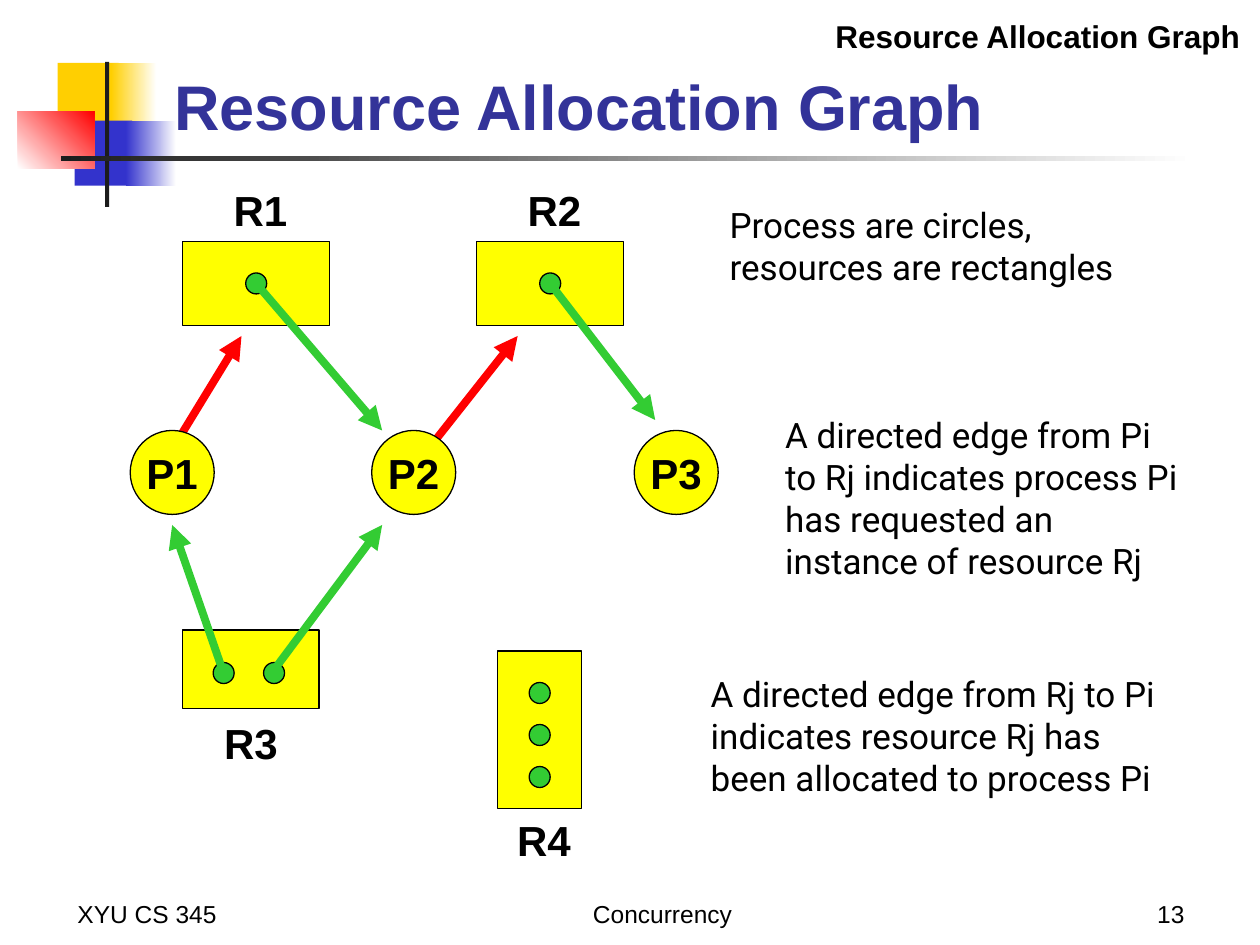
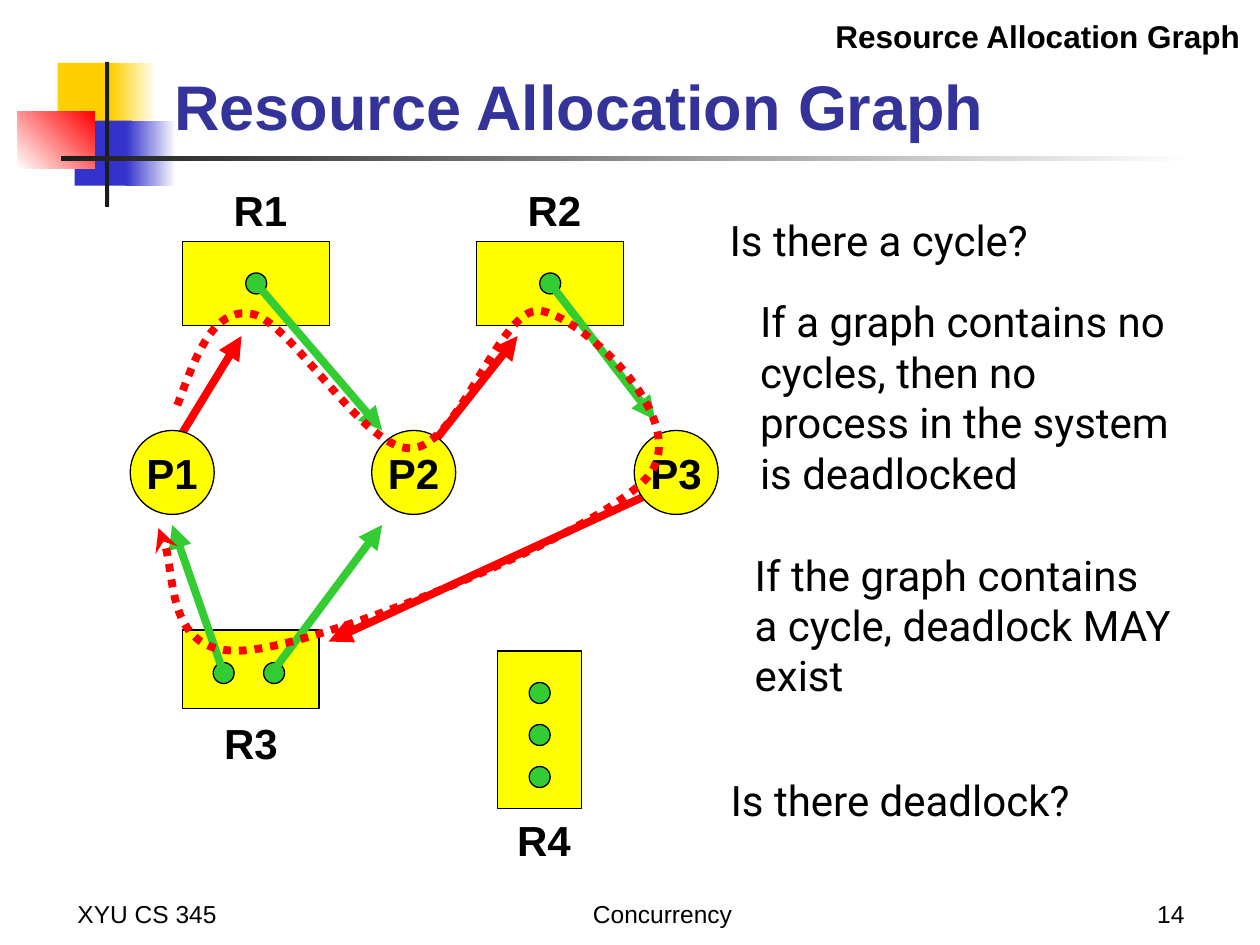
from dataclasses import dataclass

from lxml import etree
from pptx import Presentation
from pptx import util as u
from pptx.dml.color import RGBColor
from pptx.enum import shapes as kinds, text as t
from pptx.oxml.ns import qn

COLUMNS, ROWS = 120, 90
CELL = u.Inches(10) // COLUMNS


@dataclass(frozen=True)
class Theme:
    ink: str = "000000"
    paper: str = "FFFFFF"
    title: str = "333399"
    rule: str = "1C1C1C"
    gold: str = "FFCF01"
    blue: str = "3333CC"
    red: str = "FF0000"
    node: str = "FFFF00"
    instance: str = "33CC33"
    heading_font: str = "Arial"
    note_font: str = "Roboto"
    title_size: int = 36
    label_size: int = 24
    note_size: int = 20
    header_size: int = 18
    footer_size: int = 14
    outline: float = 0.75
    edge: float = 4.5


THEME = Theme()


@dataclass(frozen=True)
class Box:
    left: float
    top: float
    width: float
    height: float

    def area(self, col, row, width, height):
        return Box(self.left + col, self.top + row, width, height)

    def around(self, col, row, size):
        return self.area(col - size / 2, row - size / 2, size, size)

    def point(self, col, row):
        return round((self.left + col) * CELL), round((self.top + row) * CELL)

    def emu(self):
        return [round(n * CELL) for n in (self.left, self.top, self.width, self.height)]


PAGE = Box(0, 0, COLUMNS, ROWS)
BAND = PAGE.area(1.7, 5.9, 112.1, 13.8)
TITLE = PAGE.area(15.4, 2.8, 102.2, 11.4)
HEADER = PAGE.area(73.9, 1, 45.4, 4.8)
FOOTER = PAGE.area(6.2, 83, 107.8, 6)
GRAPH = PAGE.area(12.4, 17, 56, 66)
NOTES = PAGE.area(66, 17, 50, 66)

PROCESSES = {"P1": (0, 24), "P2": (23, 24), "P3": (48, 24)}
RESOURCES = [
    ("R1", (5, 6, 14, 8), (12.4, 0), [(12, 10)]),
    ("R2", (33, 6, 14, 8), (40.4, 0), [(40, 10)]),
    ("R3", (5, 43, 13, 7.5), (11.5, 50.7), [(8.9, 47.1), (13.7, 47.1)]),
    ("R4", (35, 45, 8, 15), (39.4, 60), [(39, 49 + 4 * i) for i in range(3)]),
]
ALLOCATIONS = [
    ((12, 10), (24, 24)),
    ((40, 10), (50, 23)),
    ((13.4, 47.2), (24, 33)),
    ((9, 47.4), (4, 33)),
]
REQUESTS = [((4.8, 24.5), (10.6, 15)), ((29, 25), (36.9, 15))]
CLOSING_REQUEST = ((50, 29.8), (18.9, 44.1))
CYCLE = [
    (4.5, 21.6),
    (6.2, 17), (7.9, 12.2), (11.6, 12.9),
    (15.3, 13.6), (22.2, 25.8), (26.7, 25.7),
    (31.3, 25.7), (35.2, 12.2), (39, 12.6),
    (42.8, 13), (53.8, 23), (49.3, 28.4),
    (44.7, 33.8), (19.2, 44.1), (11.4, 44.9),
    (3.7, 45.8), (4.2, 35.2), (2.7, 33.3),
]


def rgb(color):
    return RGBColor.from_string(color)


def write(frame, words, *, size, font=THEME.heading_font, color=THEME.ink, bold=False,
          align=t.PP_ALIGN.LEFT, anchor=t.MSO_ANCHOR.TOP, wrap=True, grow=False):
    frame.word_wrap = wrap
    frame.vertical_anchor = anchor
    frame.auto_size = t.MSO_AUTO_SIZE.SHAPE_TO_FIT_TEXT if grow else t.MSO_AUTO_SIZE.NONE
    paragraph = frame.paragraphs[0]
    paragraph.alignment = align
    run = paragraph.add_run()
    run.text = words
    run.font.size = u.Pt(size)
    run.font.name = font
    run.font.bold = bold
    run.font.color.rgb = rgb(color)


def write_box(slide, box, words, **style):
    write(slide.shapes.add_textbox(*box.emu()).text_frame, words, **style)


def draw(slide, kind, box, fill, outlined=True):
    figure = slide.shapes.add_shape(kind, *box.emu())
    figure.shadow.inherit = False
    if isinstance(fill, tuple):
        start, end, angle = fill
        figure.fill.gradient()
        figure.fill.gradient_angle = angle
        for stop, color in zip(figure.fill.gradient_stops, (start, end)):
            stop.color.rgb = rgb(color)
    else:
        figure.fill.solid()
        figure.fill.fore_color.rgb = rgb(fill)
    if outlined:
        figure.line.color.rgb = rgb(THEME.ink)
        figure.line.width = u.Pt(THEME.outline)
    else:
        figure.line.fill.background()
    return figure


def style_edge(edge, color, head="triangle", dash=None):
    edge.line.color.rgb = rgb(color)
    edge.line.width = u.Pt(THEME.edge)
    stroke = edge.element.spPr.find(qn("a:ln"))
    if dash:
        etree.SubElement(stroke, qn("a:prstDash"), val=dash)
    etree.SubElement(stroke, qn("a:tailEnd"), type=head)


def add_edges(slide, box, edges, color):
    for start, end in edges:
        edge = slide.shapes.add_connector(
            kinds.MSO_CONNECTOR.STRAIGHT, *box.point(*start), *box.point(*end))
        style_edge(edge, color)
        etree.SubElement(edge.element.spPr, qn("a:effectLst"))


def add_band(slide, layout, box):
    pieces = [
        ((3.8, 0.1, 5.8, 6.2), THEME.gold),
        ((8.9, 0.1, 4.3, 6.2), (THEME.gold, THEME.paper, 0)),
        ((5.4, 5.6, 5.5, 6.2), THEME.blue),
        ((10.3, 5.6, 4.8, 6.2), (THEME.blue, THEME.paper, 0)),
        ((0, 4.7, 7.3, 5.5), (THEME.paper, THEME.red, 45)),
        ((8.3, 0, 0.4, 13.8), THEME.rule),
        ((4.1, 9, 108, 0.4), (THEME.rule, THEME.paper, 0)),
    ]
    for place, fill in pieces:
        piece = draw(slide, kinds.MSO_SHAPE.RECTANGLE, box.area(*place), fill, outlined=False)
        layout.shapes.element.append(piece.element)


def add_title(slide, box, words):
    title = slide.shapes.title
    title.left, title.top, title.width, title.height = box.emu()
    write(title.text_frame, words, size=THEME.title_size, color=THEME.title, bold=True,
          anchor=t.MSO_ANCHOR.BOTTOM)


def add_footer(slide, box, number):
    entries = [
        (0, 25, "XYU CS 345", t.PP_ALIGN.LEFT),
        (37.9, 38, "Concurrency", t.PP_ALIGN.CENTER),
        (82.8, 25, str(number), t.PP_ALIGN.RIGHT),
    ]
    for col, width, words, align in entries:
        write_box(slide, box.area(col, 0, width, box.height), words,
                  size=THEME.footer_size, align=align, anchor=t.MSO_ANCHOR.BOTTOM)


def add_graph(slide, box, requests):
    label = dict(size=THEME.label_size, bold=True, align=t.PP_ALIGN.CENTER,
                 anchor=t.MSO_ANCHOR.MIDDLE, wrap=False)
    add_edges(slide, box, requests, THEME.red)
    for name, place in PROCESSES.items():
        process = draw(slide, kinds.MSO_SHAPE.OVAL, box.area(*place, 8, 8), THEME.node)
        write(process.text_frame, name, **label)
    for name, place, (center, row), instances in RESOURCES:
        draw(slide, kinds.MSO_SHAPE.RECTANGLE, box.area(*place), THEME.node)
        write_box(slide, box.area(center - 3.75, row, 7.5, 6), name, grow=True, **label)
        for instance in instances:
            draw(slide, kinds.MSO_SHAPE.OVAL, box.around(*instance, 2), THEME.instance)
    add_edges(slide, box, ALLOCATIONS, THEME.instance)


def add_cycle(slide, box):
    start, *rest = [box.point(*place) for place in CYCLE]
    outline = slide.shapes.build_freeform(*start)
    outline.add_line_segments(rest, close=False)
    cycle = outline.convert_to_shape()
    cycle.shadow.inherit = False
    cycle.fill.background()
    segments = list(cycle.element.iter(qn("a:lnTo")))
    track = segments[0].getparent()
    for i in range(0, len(segments), 3):
        curve = etree.SubElement(track, qn("a:cubicBezTo"))
        for segment in segments[i:i + 3]:
            curve.append(segment[0])
            track.remove(segment)
    style_edge(cycle, THEME.red, head="stealth", dash="sysDot")


def add_notes(slide, box, notes, size):
    for place, words in notes:
        write_box(slide, box.area(*place), words, size=size, font=THEME.note_font, grow=True)


def add_graph_slide(deck, layout, number, requests, notes, note_size):
    slide = deck.slides.add_slide(layout)
    add_footer(slide, FOOTER, number)
    add_graph(slide, GRAPH, requests)
    add_title(slide, TITLE, "Resource Allocation Graph")
    add_notes(slide, NOTES, notes, note_size)
    write_box(slide, HEADER, "Resource Allocation Graph", size=THEME.header_size,
              bold=True, align=t.PP_ALIGN.RIGHT, grow=True)
    return slide


def main():
    deck = Presentation()
    deck.slide_width, deck.slide_height = COLUMNS * CELL, ROWS * CELL
    layout = deck.slide_layouts.get_by_name("Title Only")

    notation = add_graph_slide(deck, layout, 13, REQUESTS, [
        ((2.3, 1.8, 44.3, 9.2), "Process are circles, resources are rectangles"),
        ((7.6, 21.8, 41, 17.2),
         "A directed edge from Pi to Rj indicates process Pi has requested an instance of resource Rj"),
        ((0.5, 46.5, 45.5, 13.2),
         "A directed edge from Rj to Pi indicates resource Rj has been allocated to process Pi"),
    ], THEME.note_size)
    add_band(notation, layout, BAND)

    deadlock = add_graph_slide(deck, layout, 14, [CLOSING_REQUEST, *REQUESTS], [
        ((2.3, 2.8, 44.3, 6), "Is there a cycle?"),
        ((5.2, 10.6, 42.1, 20.4),
         "If a graph contains no cycles, then no process in the system is deadlocked"),
        ((4.7, 34.7, 42, 15.6), "If the graph contains a cycle, deadlock MAY exist"),
        ((2.4, 56.2, 41, 6), "Is there deadlock?"),
    ], THEME.label_size)
    add_cycle(deadlock, GRAPH)

    deck.save("out.pptx")


if __name__ == "__main__":
    main()
